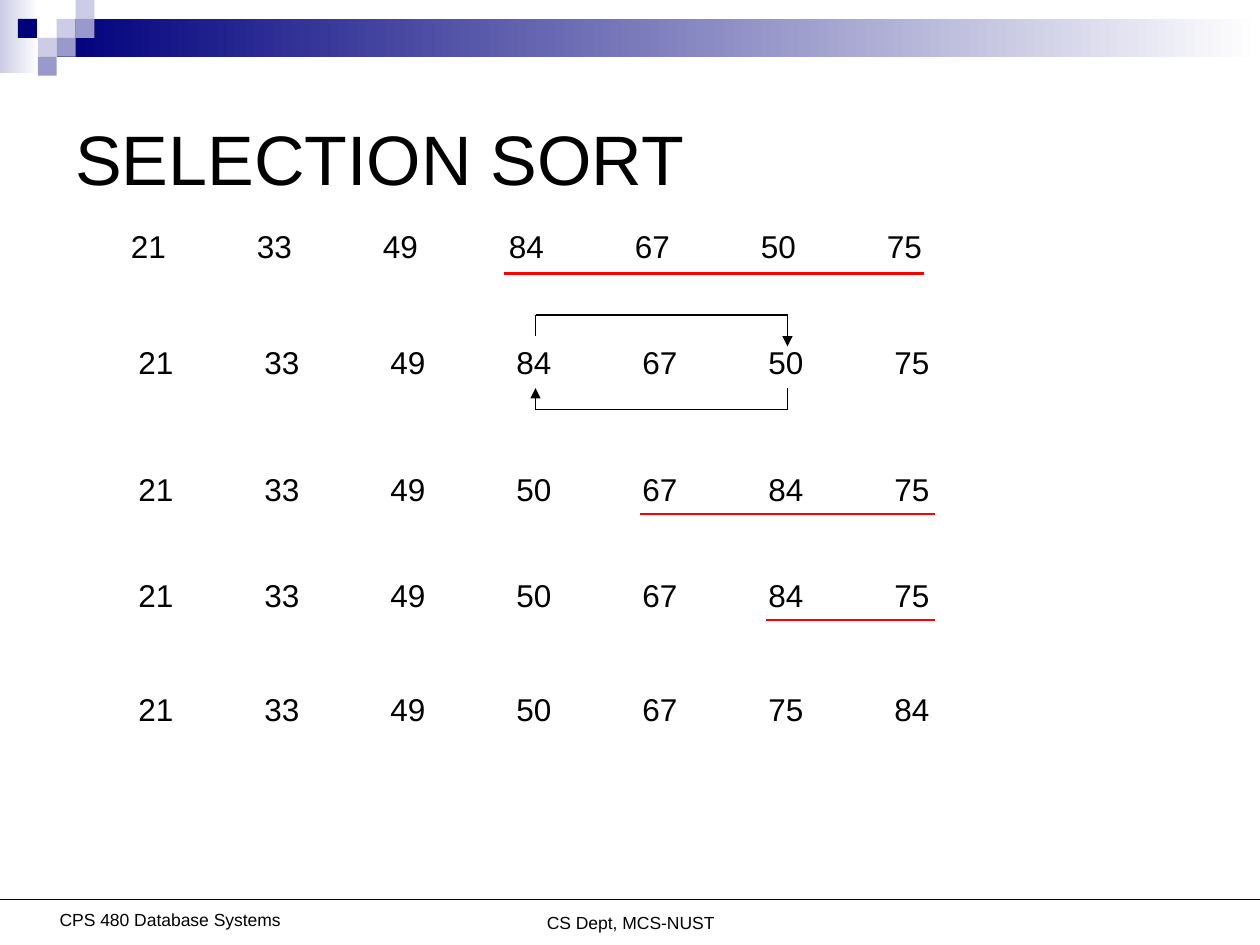
from itertools import pairwise

from lxml.etree import SubElement
from pptx import Presentation
from pptx.dml.color import RGBColor
from pptx.enum.shapes import MSO_CONNECTOR, MSO_SHAPE
from pptx.enum.text import MSO_ANCHOR, MSO_AUTO_SIZE, PP_ALIGN
from pptx.oxml.ns import qn
from pptx.util import Inches, Pt

NAVY = RGBColor(0x00, 0x00, 0x7D)
LAVENDER = RGBColor(0xCC, 0xCC, 0xE6)
PERIWINKLE = RGBColor(0x99, 0x99, 0xCC)
WHITE = RGBColor(0xFF, 0xFF, 0xFF)
BLACK = RGBColor(0x00, 0x00, 0x00)
RED = RGBColor(0xFF, 0x00, 0x00)

WIDTH, HEIGHT = 10, 7.5
TILE = 0.15
TAB_STEP = 1

TITLE = "SELECTION SORT"
# (left, top, numbers)
SORT_PASSES = [
    (0.94, 1.75, (21, 33, 49, 84, 67, 50, 75)),
    (1, 2.67, (21, 33, 49, 84, 67, 50, 75)),
    (1, 3.68, (21, 33, 49, 50, 67, 84, 75)),
    (1, 4.52, (21, 33, 49, 50, 67, 84, 75)),
    (1, 5.43, (21, 33, 49, 50, 67, 75, 84)),
]
# (start, end, y) of the unsorted part
UNSORTED_LINES = [(4, 7.33, 2.17), (5.08, 7.42, 4.08), (6.08, 7.42, 4.92)]
SWAP_PATHS = [
    [(4.25, 2.67), (4.25, 2.5), (6.25, 2.5), (6.25, 2.75)],
    [(6.25, 3.08), (6.25, 3.25), (4.25, 3.25), (4.25, 3.08)],
]
# (left, top, width, text)
FOOTERS = [
    (2.92, 7.19, 4.17, "CS Dept, MCS-NUST"),
    (0.35, 7.17, 2, "CPS 480 Database Systems"),
]
# (left, top, width, height, start colour)
FADING_BARS = [(0, 0, 0.31, 0.58, LAVENDER), (0.45, 0.15, 9.55, 0.3, NAVY)]
# (column, row, colour) on the tile grid
TILES = [
    (3, 1, LAVENDER), (4, 0, LAVENDER), (4, 1, PERIWINKLE), (2, 2, LAVENDER),
    (0.95, 1, NAVY), (3, 2, PERIWINKLE), (2, 3, PERIWINKLE),
]


def add_rectangle(slide, left, top, width, height):
    shape = slide.shapes.add_shape(
        MSO_SHAPE.RECTANGLE, Inches(left), Inches(top), Inches(width), Inches(height))
    shape.shadow.inherit = False
    shape.line.fill.background()
    return shape


def add_line(slide, start, end, color, points, arrow=False):
    line = slide.shapes.add_connector(
        MSO_CONNECTOR.STRAIGHT, *(Inches(value) for value in (*start, *end)))
    line.line.color.rgb = color
    line.line.width = Pt(points)
    if arrow:
        SubElement(line.line._get_or_add_ln(), qn("a:tailEnd"), type="triangle")
    SubElement(line._element.spPr, qn("a:effectLst"))


def add_text(slide, left, top, width, height, text, size, align=PP_ALIGN.LEFT, tabs=0):
    """Add one line of text; with tabs, the box fits its text and does not wrap."""
    box = slide.shapes.add_textbox(
        Inches(left), Inches(top), Inches(width), Inches(height))
    frame = box.text_frame
    frame.word_wrap = not tabs
    frame.vertical_anchor = MSO_ANCHOR.TOP if tabs else MSO_ANCHOR.MIDDLE
    paragraph = frame.paragraphs[0]
    paragraph.alignment = align
    if tabs:
        frame.auto_size = MSO_AUTO_SIZE.SHAPE_TO_FIT_TEXT
        tab_list = SubElement(paragraph._p.get_or_add_pPr(), qn("a:tabLst"))
        for number in range(1, tabs + 1):
            SubElement(tab_list, qn("a:tab"), pos=str(Inches(number * TAB_STEP)), algn="l")
    run = paragraph.add_run()
    run.text = text
    run.font.name = "Arial"
    run.font.size = Pt(size)
    run.font.color.rgb = BLACK


def add_decoration(slide):
    for *place, color in FADING_BARS:
        fill = add_rectangle(slide, *place).fill
        fill.gradient()
        fill.gradient_angle = 0
        for stop, stop_color in zip(fill.gradient_stops, (color, WHITE)):
            stop.color.rgb = stop_color
    for column, row, color in TILES:
        tile = add_rectangle(slide, column * TILE, row * TILE, TILE, TILE)
        tile.fill.solid()
        tile.fill.fore_color.rgb = color


def main():
    presentation = Presentation()
    presentation.slide_width = Inches(WIDTH)
    presentation.slide_height = Inches(HEIGHT)
    slide = presentation.slides.add_slide(presentation.slide_layouts[6])

    add_decoration(slide)
    for left, top, width, text in FOOTERS:
        add_text(slide, left, top, width, 0.26, text, 10, PP_ALIGN.CENTER)
    add_line(slide, (0, 7.14), (WIDTH, 7.14), BLACK, 0.75)

    add_text(slide, 0.5, 0.5, 9, 1.5, TITLE, 40)
    for left, top, numbers in SORT_PASSES:
        add_text(slide, left, top, 6.48, 0.4, "\t".join(map(str, numbers)), 18,
                 tabs=len(numbers))
    for start, end, y in UNSORTED_LINES:
        add_line(slide, (start, y), (end, y), RED, 1.5)
    for points in SWAP_PATHS:
        for start, end in pairwise(points):
            add_line(slide, start, end, BLACK, 0.75, arrow=end == points[-1])

    presentation.save("out.pptx")


if __name__ == "__main__":
    main()
